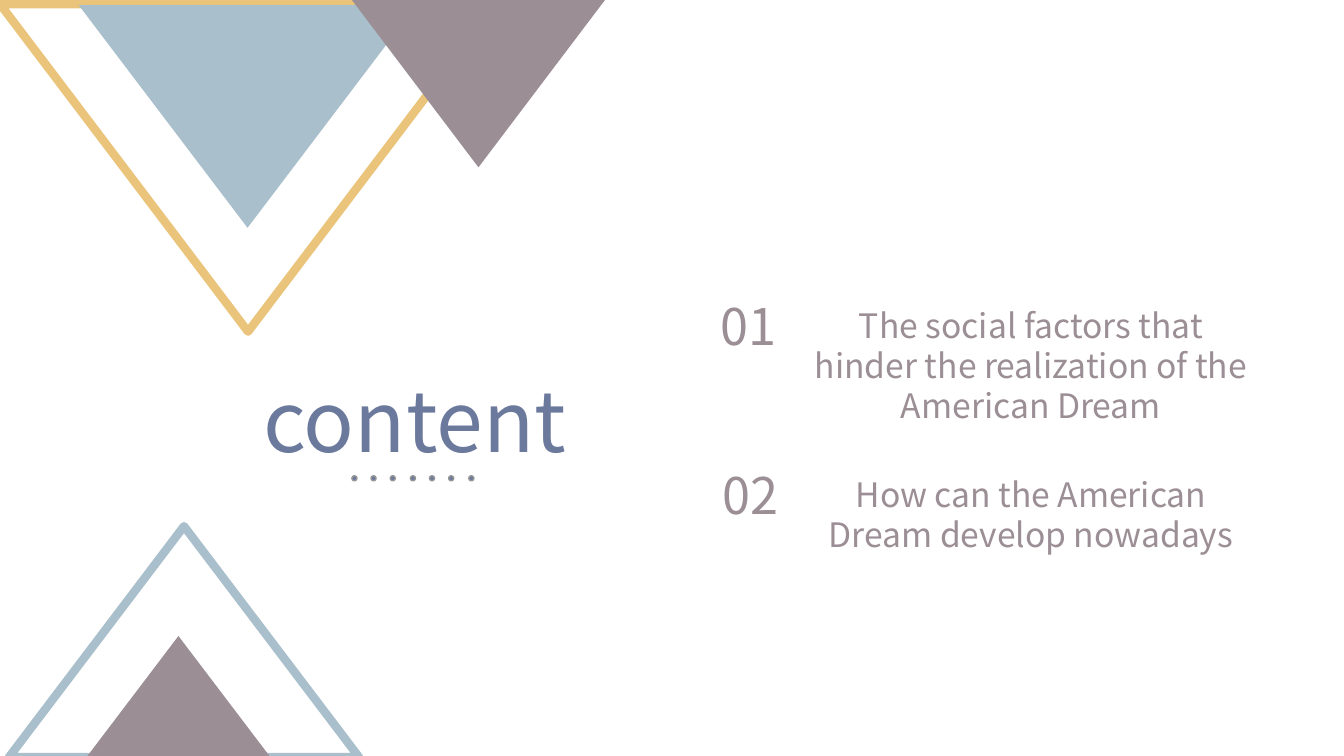
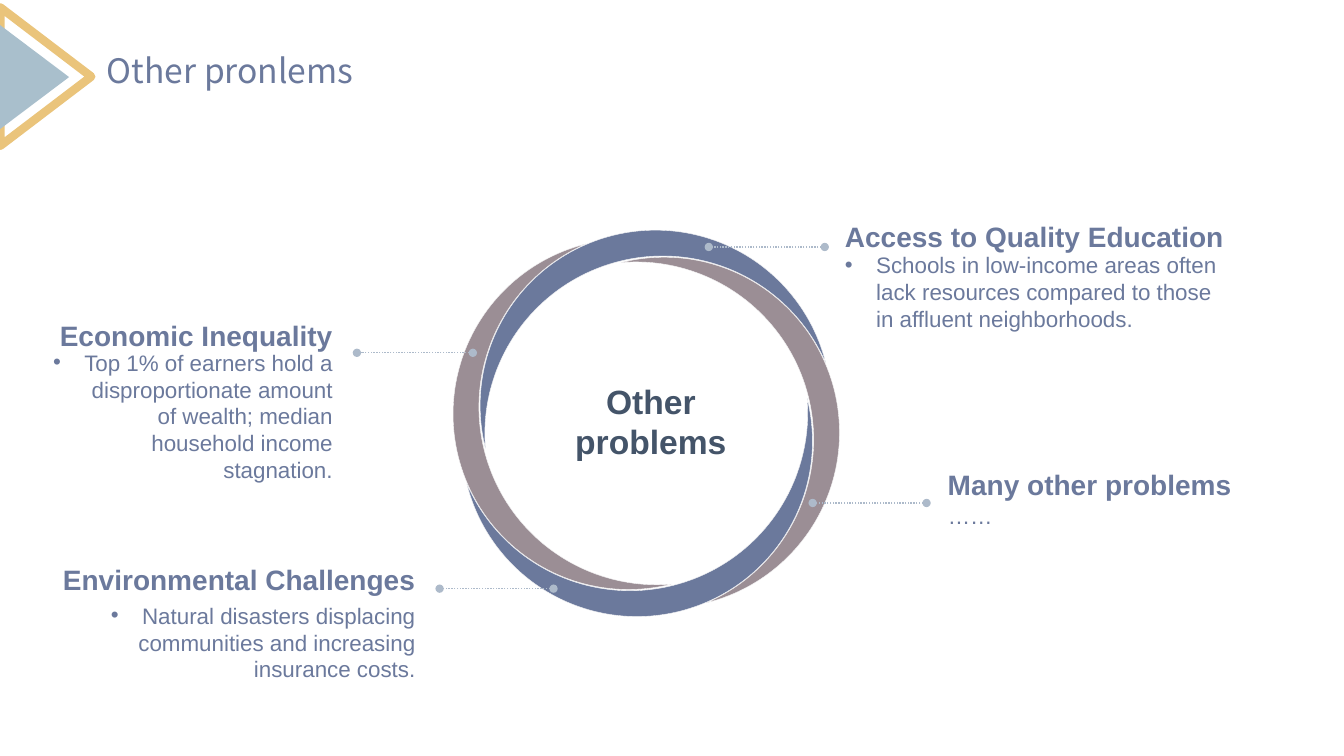
from lxml.etree import SubElement
from pptx import Presentation
from pptx.dml.color import RGBColor
from pptx.enum.dml import MSO_LINE
from pptx.enum.shapes import MSO_CONNECTOR, MSO_SHAPE
from pptx.enum.text import MSO_ANCHOR, MSO_AUTO_SIZE, PP_ALIGN
from pptx.oxml.ns import qn
from pptx.util import Pt

SCALE = 9144
LEFT, RIGHT, CENTER, JUSTIFY = PP_ALIGN.LEFT, PP_ALIGN.RIGHT, PP_ALIGN.CENTER, PP_ALIGN.JUSTIFY


def px(n):
    return int(n * SCALE)


def rgb(value):
    return RGBColor.from_string(value)


def write(sp, text, font, size, color, bold=False, align=LEFT, inset=(10, 5), before=0, bullet=False):
    tf = sp.text_frame
    tf.word_wrap = True
    tf.auto_size = MSO_AUTO_SIZE.NONE
    tf.vertical_anchor = MSO_ANCHOR.TOP
    tf.margin_left = tf.margin_right = px(inset[0])
    tf.margin_top = tf.margin_bottom = px(inset[1])
    p = tf.paragraphs[0]
    p.alignment = align
    p.space_before = Pt(before)
    pPr = p._p.get_or_add_pPr()
    indent = px(31) if bullet else 0
    pPr.set("marL", str(indent))
    pPr.set("indent", str(-indent))
    if bullet:
        SubElement(pPr, qn("a:buFont")).set("typeface", "Arial")
        SubElement(pPr, qn("a:buChar")).set("char", "•")
    else:
        SubElement(pPr, qn("a:buNone"))
    r = p.add_run()
    r.text = text
    r.font.name, r.font.size, r.font.bold = font, Pt(size), bold
    r.font.color.rgb = rgb(color)


class Deck:
    BLUE, SKY, MAUVE, GOLD = "6B799C", "A9BFCC", "9B8E95", "EAC47B"
    SLATE, RULE, DOT_EDGE, PALE = "445469", "ADBACA", "969696", "F8F8F8"
    HEAD, BODY = "Noto Sans CJK SC", "Arial"

    def __init__(self):
        self.prs = Presentation()
        self.prs.slide_width, self.prs.slide_height = px(1333), px(750)

    def slide(self, layout):
        self.s = self.prs.slides.add_slide(self.prs.slide_layouts.get_by_name(layout))

    def holder(self, idx, box, text, **fmt):
        sp = self.s.placeholders[idx]
        sp.left, sp.top, sp.width, sp.height = map(px, box)
        write(sp, text, **fmt)

    def title(self, box, text, size, align=LEFT):
        self.holder(0, box, text, font=self.HEAD, size=size, color=self.BLUE, align=align)

    def text(self, box, text, **fmt):
        write(self.s.shapes.add_textbox(*map(px, box)), text, **fmt)

    def shape(self, kind, box, fill=None, line=None, weight=1, rotation=0):
        sp = self.s.shapes.add_shape(kind, *map(px, box))
        sp.shadow.inherit = False
        sp.rotation = rotation
        for part, color in ((sp.fill, fill), (sp.line.fill, line)):
            if color:
                part.solid()
                part.fore_color.rgb = rgb(color)
            else:
                part.background()
        if line:
            sp.line.width = Pt(weight)
        return sp

    def triangle(self, box, fill=None, line=None, rotation=0):
        self.shape(MSO_SHAPE.ISOSCELES_TRIANGLE, box, fill, line, 6, rotation)

    def leader(self, x1, x2, y):
        line = self.s.shapes.add_connector(MSO_CONNECTOR.STRAIGHT, *map(px, (x1, y, x2, y)))
        line.line.color.rgb = rgb(self.RULE)
        line.line.width = Pt(1)
        line.line.dash_style = MSO_LINE.ROUND_DOT
        ln = line.line._get_or_add_ln()
        for end in ("a:headEnd", "a:tailEnd"):
            SubElement(ln, qn(end)).set("type", "oval")
        SubElement(line._element.spPr, qn("a:effectLst"))


def contents(deck):
    deck.slide("Two Content")
    deck.triangle((9, 522, 347, 229), line=deck.SKY)
    deck.triangle((0, 4, 492, 325), line=deck.GOLD, rotation=180)
    for i in range(7):
        deck.shape(MSO_SHAPE.OVAL, (349 + i * 116 // 6, 472, 5, 5), deck.BLUE, deck.DOT_EDGE)
    deck.title((251, 361, 324, 111), "content", 60, JUSTIFY)
    entries = [
        (681, 288, 131, "The social factors that hinder the realization of the American Dream"),
        (683, 456, 91, "How can the American Dream develop nowadays"),
    ]
    style = dict(font=deck.HEAD, color=deck.MAUVE, align=CENTER)
    for n, (x, y, height, entry) in enumerate(entries, 1):
        deck.holder(n, (791, y + 9, 463, height), entry, size=24, **style)
        deck.text((x, y, 123, 71), f"{n:02}", size=36, **style)
    deck.triangle((78, 5, 335, 221), deck.SKY, rotation=180)
    deck.triangle((349, 0, 251, 166), deck.MAUVE, rotation=180)
    deck.triangle((86, 631, 182, 120), deck.MAUVE)


def problems(deck):
    deck.slide("Comparison")
    dx, dy = -102, 12
    for i in range(4):
        color = (deck.MAUVE, deck.BLUE)[i % 2]
        box = (641 + dx - 87, 420 + dy - 174, 174, 348)
        moon = deck.shape(MSO_SHAPE.MOON, box, color, deck.PALE, 0.25, (345.9 + 90 * i) % 360)
        moon.adjustments[0] = 0.152
        dx, dy = -dy, dx
    deck.text((530, 373, 231, 91), "Other problems", font=deck.BODY, size=24,
              color=deck.SLATE, bold=True, align=CENTER)

    topics = [
        ((40, 316, 290), 30, 135, RIGHT, "Economic Inequality",
         "Top 1% of earners hold a disproportionate amount of wealth; median household income stagnation."),
        ((838, 218, 383), 31, 81, LEFT, "Access to Quality Education",
         "Schools in low-income areas often lack resources compared to those in affluent neighborhoods."),
        ((59, 558, 353), 39, 81, RIGHT, "Environmental Challenges",
         "Natural disasters displacing communities and increasing insurance costs."),
        ((940, 464, 303), 34, 27, LEFT, "Many other problems", "……"),
    ]
    for n, ((x, y, width), drop, height, align, heading, detail) in enumerate(topics, 1):
        style = dict(font=deck.BODY, color=deck.BLUE, align=align, inset=(0, 0))
        deck.text((x, y, width, 34), heading, size=20, bold=True, before=4, **style)
        deck.holder(n, (x, y + drop, width, height), detail, size=16, before=3.2,
                    bullet=detail != "……", **style)
    for x1, x2, y in ((469, 354, 350), (549, 436, 584), (818, 703, 245), (919, 806, 499)):
        deck.leader(x1, x2, y)

    deck.triangle((-23, 31, 137, 90), line=deck.GOLD, rotation=90)
    deck.triangle((-18, 42, 104, 69), deck.SKY, rotation=90)
    deck.title((96, 44, 292, 50), "Other pronlems", 24)


def main():
    deck = Deck()
    contents(deck)
    problems(deck)
    deck.prs.save("out.pptx")


if __name__ == "__main__":
    main()
